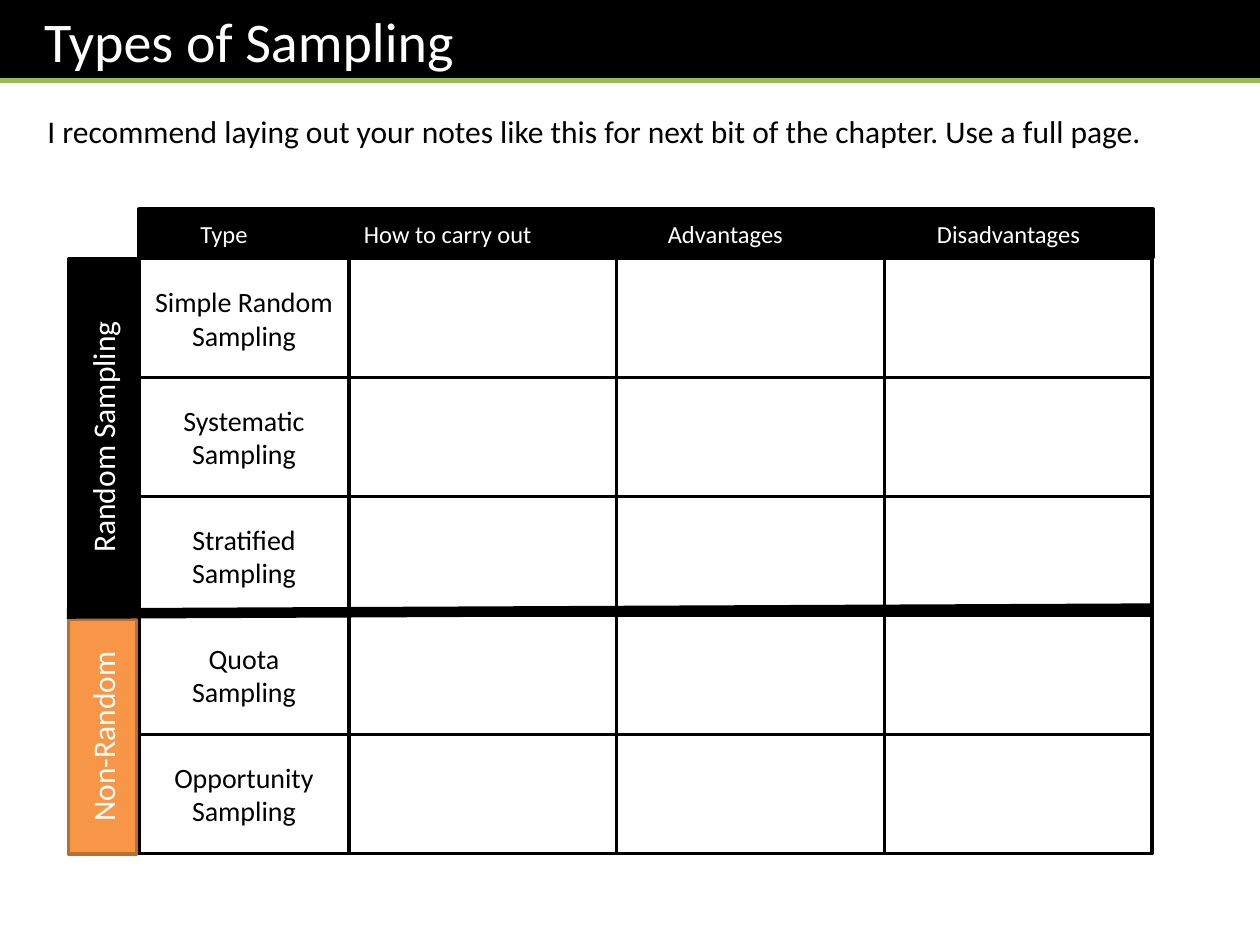
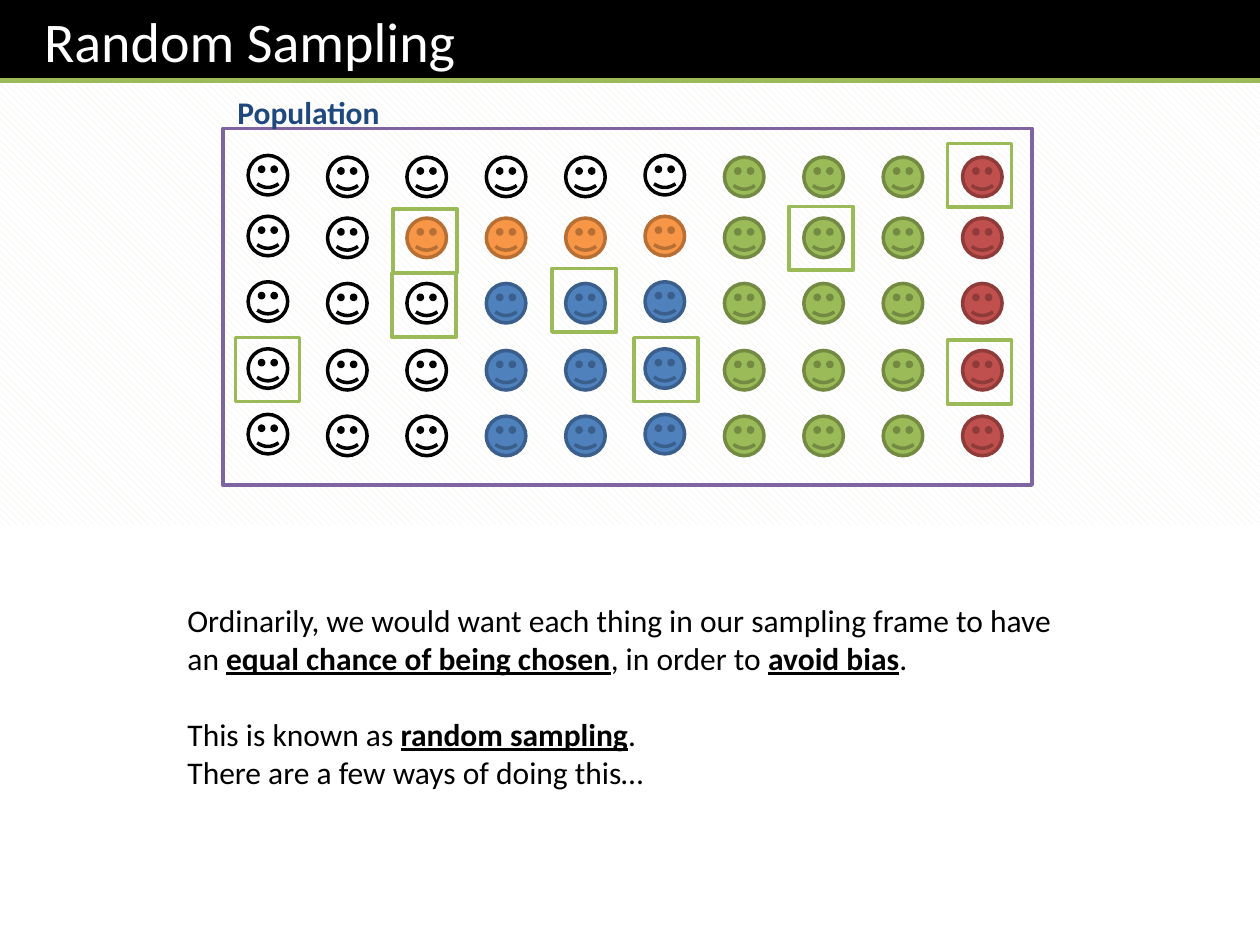
from dataclasses import dataclass
from lxml.etree import SubElement
from pptx import Presentation
from pptx.dml.color import RGBColor
from pptx.enum.dml import MSO_PATTERN
from pptx.enum.shapes import MSO_CONNECTOR, MSO_SHAPE
from pptx.enum.text import MSO_ANCHOR, PP_ALIGN
from pptx.oxml.ns import qn
from pptx.util import Pt

HEADS = [("Type", 97.2), ("How to carry out", 158.6),
         ("Advantages", 158.6), ("Disadvantages", 165)]
KINDS = ["Simple Random Sampling", "Systematic Sampling", "Stratified Sampling",
         "Quota\nSampling", "Opportunity\nSampling"]
ADVICE = ("I recommend laying out your notes like this for next bit "
          "of the chapter. Use a full page.")
CROWD = ["WWWWWWGGGR", "WWOOOOGGGR", "WWWBBBGGGR", "WWWBBBGGGR", "WWWBBBGGGR"]
PICKS = [(315.4, 153.4), (224.6, 119.5), (134.6, 193), (223.9, 156.2),
         (362.2, 193), (450.7, 118.1), (541.4, 194.4), (541.4, 82.1)]
LESSON = ("Ordinarily, we would want each thing in our sampling frame to have an "
          "*equal chance of being chosen*, in order to *avoid bias*.\n"
          "This is known as *random sampling*.\n"
          "There are a few ways of doing this…")


@dataclass(frozen=True)
class Theme:
    font: str = "Calibri"
    black: str = "000000"
    white: str = "FFFFFF"
    green: str = "9BBB59"
    orange: str = "F79646"
    rust: str = "B76F34"
    purple: str = "8064A2"
    navy: str = "1F497D"
    cream: str = "EEECE1"
    title: int = 32
    body: int = 18
    cell: int = 16
    head: int = 14
    edge: int = 2


T = Theme()
FACES = {"W": (T.white, T.black), "G": (T.green, "738A42"), "R": ("C0504D", "8E3B39"),
         "O": (T.orange, T.rust), "B": ("4F81BD", "3A5F8C")}
SIDES = [("Random Sampling", 147.8, 203.8, T.black, T.black),
         ("Non-Random", 354, 133.9, T.orange, T.rust)]


def tint(text):
    return RGBColor.from_string(text)


def write(shape, text, size=T.body, ink=T.black, bold=False, align=PP_ALIGN.LEFT,
          anchor=MSO_ANCHOR.TOP, pad=7.2, gaps=()):
    frame = shape.text_frame
    frame.word_wrap = True
    frame.vertical_anchor = anchor
    frame.margin_left = Pt(pad)
    for i, line in enumerate(text.split("\n")):
        para = frame.add_paragraph() if i else frame.paragraphs[0]
        para.alignment = align
        if i < len(gaps) and gaps[i]:
            para.space_before = Pt(gaps[i])
        for j, part in enumerate(line.split("*")):
            run = para.add_run()
            run.text = part
            font = run.font
            font.name, font.size = T.font, Pt(size)
            font.color.rgb = tint(ink)
            strong = j % 2 == 1
            font.bold = bold or strong
            font.underline = strong


def label(shape, text, **style):
    write(shape, text, align=PP_ALIGN.CENTER, anchor=MSO_ANCHOR.MIDDLE, **style)


def draw(slide, x, y, w, h, fill=None, edge=None, kind=MSO_SHAPE.RECTANGLE):
    shape = slide.shapes.add_shape(kind, Pt(x), Pt(y), Pt(w), Pt(h))
    shape.shadow.inherit = False
    if fill:
        shape.fill.solid()
        shape.fill.fore_color.rgb = tint(fill)
    else:
        shape.fill.background()
    if edge:
        shape.line.color.rgb = tint(edge)
        shape.line.width = Pt(T.edge)
    else:
        shape.line.fill.background()
    return shape


def note(slide, x, y, w, h, text, **style):
    write(slide.shapes.add_textbox(Pt(x), Pt(y), Pt(w), Pt(h)), text, **style)


def rule(slide, x1, y1, x2, y2, ink, width):
    line = slide.shapes.add_connector(MSO_CONNECTOR.STRAIGHT, Pt(x1), Pt(y1), Pt(x2), Pt(y2))
    line.line.color.rgb = tint(ink)
    line.line.width = Pt(width)
    SubElement(line._element.spPr, qn("a:effectLst"))


def banner(slide, text):
    write(draw(slide, 0, 0, 720, 47.4, fill=T.black), text,
          size=T.title, ink=T.white, pad=25.2)
    rule(slide, 0, 46.2, 720, 46.2, T.green, 3)


def types(slide):
    banner(slide, "Types of Sampling")
    note(slide, 20, 60.4, 680, 29, ADVICE)
    left, top, tall = 79.4, 147.7, 68
    x = left
    for text, wide in HEADS:
        label(draw(slide, x, 119.6, wide, 27.6, T.black, T.black), text,
              size=T.head, ink=T.white)
        x += wide
    first, wide = 120, 153
    for row, text in enumerate(KINDS):
        y = top + row * tall
        label(draw(slide, left, y, first, tall, T.white, T.black), text, size=T.cell)
        for col in range(3):
            draw(slide, left + first + col * wide, y, wide, tall, T.white, T.black)
    thick, mid = 38.9, 58.6
    for text, y, high, fill, edge in SIDES:
        bar = draw(slide, mid - high / 2, y + (high - thick) / 2, high, thick, fill, edge)
        bar.rotation = 270
        label(bar, text, ink=T.white)
    rule(slide, 38.2, 350.6, 658.1, 347.8, T.black, 6)


def random(slide):
    back = draw(slide, 0, 48.2, 720, 252)
    back.fill.patterned()
    back.fill.pattern = MSO_PATTERN.WIDE_DOWNWARD_DIAGONAL
    back.fill.fore_color.rgb = tint(T.cream)
    back.fill.back_color.rgb = tint(T.white)
    banner(slide, "Random Sampling")
    tops = [89.8, 124.6, 162, 200.3, 237.8]
    for y, row in zip(tops, CROWD):
        for col, key in enumerate(row):
            lift = 1 if col % 5 == 0 and col < 6 else 0
            draw(slide, 141.8 + col * 45.36, y - lift, 22.6, 22.6,
                 *FACES[key], kind=MSO_SHAPE.SMILEY_FACE)
    draw(slide, 127.4, 73.4, 462.4, 203.8, edge=T.purple)
    note(slide, 128.6, 49.7, 102, 29, "Population", ink=T.navy, bold=True)
    note(slide, 100, 339.8, 510.5, 116.6, LESSON, gaps=(0, 22))
    for x, y in PICKS:
        draw(slide, x, y, 36.7, 36.4, edge=T.green)


def main():
    deck = Presentation()
    deck.slide_width, deck.slide_height = Pt(720), Pt(540)
    for build in (types, random):
        build(deck.slides.add_slide(deck.slide_layouts[6]))
    deck.save("out.pptx")


if __name__ == "__main__":
    main()
